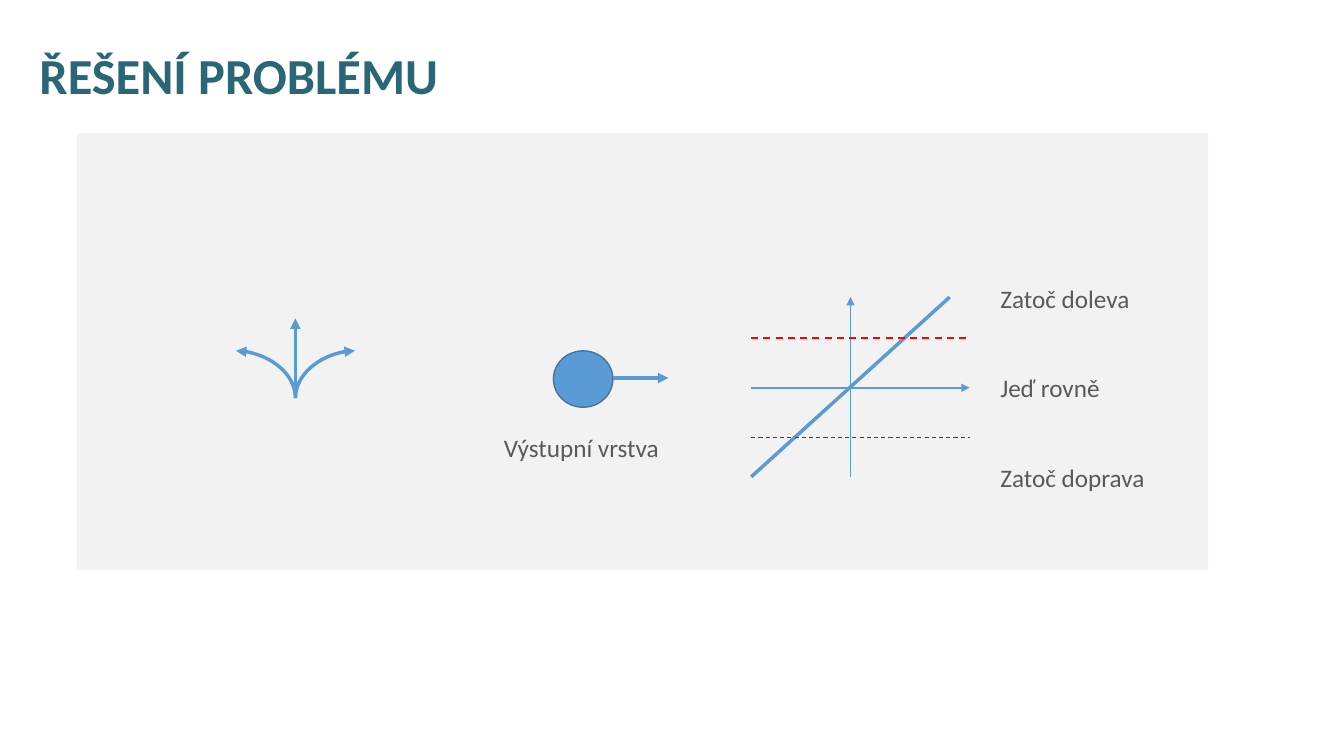
from lxml.etree import SubElement
from pptx import Presentation
from pptx.dml.color import RGBColor
from pptx.enum.dml import MSO_LINE
from pptx.enum.shapes import MSO_CONNECTOR as Link, MSO_SHAPE as Shape
from pptx.enum.text import MSO_ANCHOR as Anchor, MSO_AUTO_SIZE as AutoSize, PP_ALIGN as Align
from pptx.oxml.ns import qn
from pptx.util import Pt

COLORS = {
    "title": "296776",
    "panel": "F2F2F2",
    "blue": "5B9BD5",
    "outline": "43739E",
    "label": "595959",
    "upper": "FF0000",
    "lower": "404040",
}
FONT = "Calibri"


def color(name):
    return RGBColor.from_string(COLORS[name])


def style_text(paragraph, size, color_name, bold=False):
    paragraph.alignment = Align.LEFT
    for run in paragraph.runs:
        run.font.name = FONT
        run.font.size = Pt(size)
        run.font.bold = bold
        run.font.color.rgb = color(color_name)


def add_title(slide, text):
    title = slide.shapes.title
    title.left, title.top, title.width, title.height = Pt(21), Pt(15), Pt(896), Pt(81.5)
    frame = title.text_frame
    frame.text = text
    frame.vertical_anchor = Anchor.MIDDLE
    frame.paragraphs[0].line_spacing = 0.9
    style_text(frame.paragraphs[0], 36, "title", bold=True)


def add_label(slide, text, left, top, width):
    label = slide.shapes.add_textbox(Pt(left), Pt(top), Pt(width), Pt(29))
    frame = label.text_frame
    frame.text = text
    frame.word_wrap = False
    frame.auto_size = AutoSize.SHAPE_TO_FIT_TEXT
    style_text(frame.paragraphs[0], 18, "label")


def add_filled(slide, kind, box, fill, outline=None):
    shape = slide.shapes.add_shape(kind, *map(Pt, box))
    shape.shadow.inherit = False
    shape.fill.solid()
    shape.fill.fore_color.rgb = color(fill)
    if outline:
        shape.line.color.rgb = color(outline)
        shape.line.width = Pt(1)
    else:
        shape.line.fill.background()


def add_line(slide, start, end, width, color_name="blue", arrow=False, dashed=False,
             kind=Link.STRAIGHT):
    link = slide.shapes.add_connector(kind, *map(Pt, (*start, *end)))
    link.line.color.rgb = color(color_name)
    link.line.width = Pt(width)
    if dashed:
        link.line.dash_style = MSO_LINE.DASH
    if arrow:
        SubElement(link.line._get_or_add_ln(), qn("a:tailEnd"), type="triangle")
    SubElement(link._element.spPr, qn("a:effectLst"))
    return link


def add_turn(slide, start, end):
    """Quarter bend that leaves start upwards and reaches end sideways."""
    mid_x, mid_y = (start[0] + end[0]) / 2, (start[1] + end[1]) / 2
    # The box is laid on its side and then rotated a quarter turn
    half_w, half_h = (start[1] - end[1]) / 2, abs(end[0] - start[0]) / 2
    side = 1 if end[0] > start[0] else -1
    turn = add_line(slide, (mid_x + side * half_w, mid_y + half_h),
                    (mid_x - side * half_w, mid_y - half_h),
                    2.5, arrow=True, kind=Link.CURVE)
    properties = turn._element.spPr
    properties.find(qn("a:prstGeom")).set("prst", "curvedConnector2")
    properties.find(qn("a:xfrm")).set("rot", str(side * 90 % 360 * 60000))


def add_directions(slide):
    x, bottom, reach = 211, 284.4, 42.5
    for side in (-1, 1):
        add_turn(slide, (x, bottom), (x + side * reach, 250.6))
    add_line(slide, (x, bottom), (x, 227.5), 2.5, arrow=True)


def add_output_layer(slide):
    add_filled(slide, Shape.OVAL, (395.3, 250.6, 42.5, 40.3), "blue", "outline")
    add_label(slide, "Výstupní vrstva", 352.8, 305.3, 126.7)
    add_line(slide, (437.8, 270), (477.4, 270), 2.5, arrow=True)


def add_graph(slide):
    left, right, top, bottom = 536.6, 692.6, 212.2, 340.6
    center_x, center_y, threshold = 607.5, 277, 35.4
    # Axes and linear output
    add_line(slide, (center_x, bottom), (center_x, top), 1.25, arrow=True)
    add_line(slide, (left, center_y), (right, center_y), 1.25, arrow=True)
    add_line(slide, (left, bottom), (2 * center_x - left, top), 2.5)
    # Decision thresholds
    for name, offset, width in (("upper", -threshold, 1.25), ("lower", threshold, 0.75)):
        y = center_y + offset
        add_line(slide, (left, y), (right, y), width, name, dashed=True)
    # Decisions, evenly spaced
    decisions = (("Zatoč doleva", 108), ("Jeď rovně", 86.4), ("Zatoč doprava", 119))
    for row, (text, width) in enumerate(decisions):
        add_label(slide, text, 707.5, 198.6 + row * 63.9, width)


def main():
    deck = Presentation()
    deck.slide_width, deck.slide_height = Pt(960), Pt(540)
    slide = deck.slides.add_slide(deck.slide_layouts[0])
    subtitle = slide.placeholders[1]._element
    subtitle.getparent().remove(subtitle)

    add_title(slide, "ŘEŠENÍ PROBLÉMU")
    add_filled(slide, Shape.RECTANGLE, (55, 95.2, 808, 311.7), "panel")
    add_directions(slide)
    add_output_layer(slide)
    add_graph(slide)
    deck.save("out.pptx")


if __name__ == "__main__":
    main()
